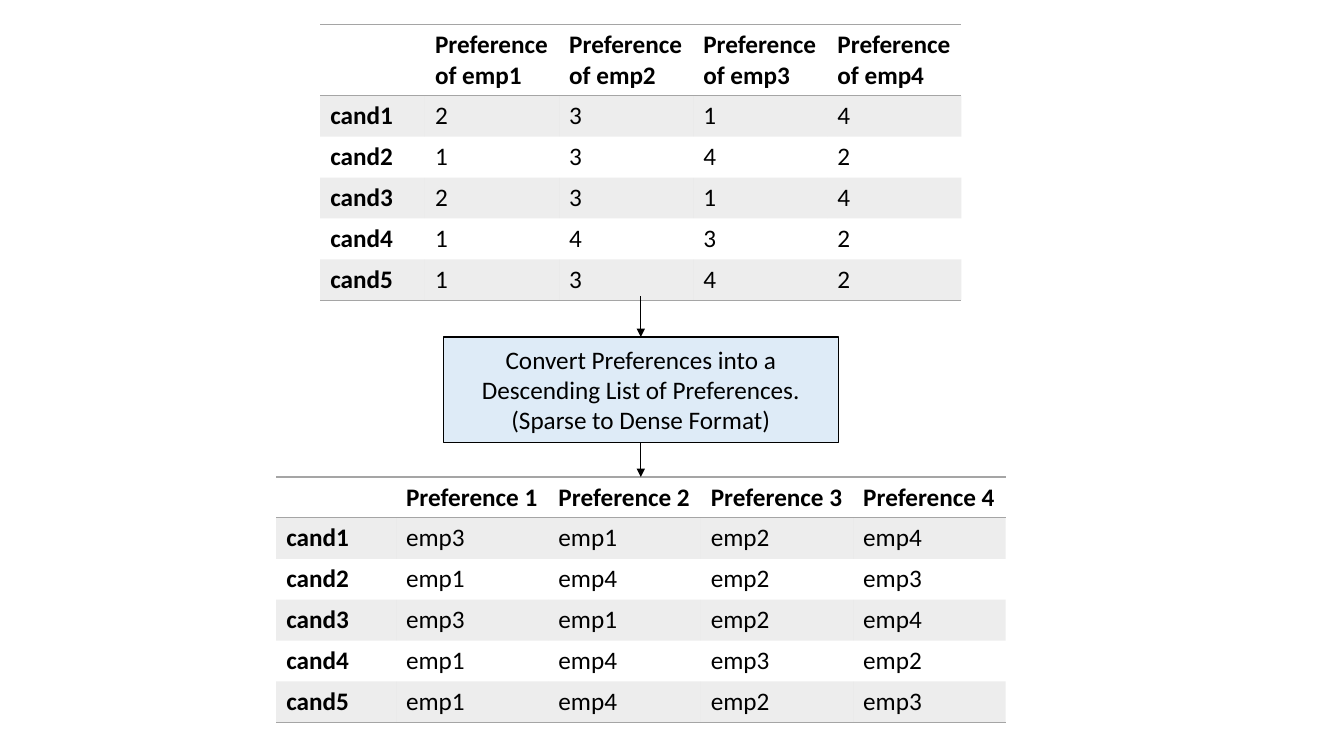
"""Build a slide showing sparse preferences converted into a dense ordered list."""
import pptx
import pptx.util
import pptx.dml.color
import pptx.enum.shapes
import pptx.enum.text
import pptx.oxml
import pptx.oxml.ns

Cm, Pt = pptx.util.Cm, pptx.util.Pt
RGB, qn = pptx.dml.color.RGBColor.from_string, pptx.oxml.ns.qn

SPARSE = [
    ("", "Preference of emp1", "Preference of emp2", "Preference of emp3", "Preference of emp4"),
    ("cand1", "2", "3", "1", "4"),
    ("cand2", "1", "3", "4", "2"),
    ("cand3", "2", "3", "1", "4"),
    ("cand4", "1", "4", "3", "2"),
    ("cand5", "1", "3", "4", "2"),
]
DENSE = [
    ("", "Preference 1", "Preference 2", "Preference 3", "Preference 4"),
    ("cand1", "emp3", "emp1", "emp2", "emp4"),
    ("cand2", "emp1", "emp4", "emp2", "emp3"),
    ("cand3", "emp3", "emp1", "emp2", "emp4"),
    ("cand4", "emp1", "emp4", "emp3", "emp2"),
    ("cand5", "emp1", "emp4", "emp2", "emp3"),
]
STEP = "Convert Preferences into a Descending List of Preferences. (Sparse to Dense Format)"

THEME = {"ink": "000000", "rule": "A5A5A5", "box": "DEEBF7", "band_alpha": 20,
         "font": "Calibri", "size": 18, "rule_width": 1, "arrow_width": 0.5}
NO_STYLE = "{2D5ABB26-0587-4C30-8999-92F81FD0307C}"
CENTER = 16.15
HEADER_H, ROW_H = 0.9, 0.93
SPARSE_TOP, SPARSE_END = 0.61, 7.47
BOX_TOP, BOX_W, BOX_H = 8.49, 9.96, 2.66
DENSE_TOP = 12.02


def xml(text):
    return pptx.oxml.parse_xml(text.replace(" ", f" {pptx.oxml.ns.nsdecls('a')} ", 1))


def write(tf, text, bold=False):
    r = tf.paragraphs[0].add_run()
    r.text = text
    font = {"name": THEME["font"], "size": Pt(THEME["size"]), "bold": bold}
    for key, value in font.items():
        setattr(r.font, key, value)
    r.font.color.rgb = RGB(THEME["ink"])


def add_borders(cell, sides):
    tc_pr = cell.fill and cell._tc.get_or_add_tcPr()
    for i, side in enumerate(sides):
        tc_pr.insert(i, xml(
            f'<a:ln{side} w="{Pt(THEME["rule_width"])}"><a:solidFill>'
            f'<a:srgbClr val="{THEME["rule"]}"/></a:solidFill></a:ln{side}>'))


def add_grid(s, rows, top, first_w, col_w):
    widths = [first_w] + [col_w] * (len(rows[0]) - 1)
    heights = [HEADER_H] + [ROW_H] * (len(rows) - 1)
    total = sum(widths)
    frame = s.shapes.add_table(len(rows), len(widths), Cm(CENTER - total / 2), Cm(top),
                               Cm(total), Cm(sum(heights)))
    next(frame.element.iter(qn("a:tableStyleId"))).text = NO_STYLE
    table = frame.table
    for column, width in zip(table.columns, widths):
        column.width = Cm(width)
    for i, (row, values) in enumerate(zip(table.rows, rows)):
        row.height = Cm(heights[i])
        sides = "TB" if i == 0 else "B" if i == len(rows) - 1 else ""
        for j, (cell, value) in enumerate(zip(row.cells, values)):
            if value:
                write(cell.text_frame, value, bold=i == 0 or j == 0)
            if i % 2:
                cell.fill.solid()
                cell.fill.fore_color.rgb = RGB(THEME["rule"])
                color = next(cell._tc.iter(qn("a:srgbClr"), qn("a:tcPr")))
                color = next(color.iter(qn("a:srgbClr"))) if value == "" else \
                    next(cell._tc.tcPr.iter(qn("a:srgbClr")))
                color.append(xml(f'<a:alpha val="{THEME["band_alpha"] * 1000}"/>'))
            else:
                cell.fill.background()
            add_borders(cell, sides)


def add_step(s):
    sp = s.shapes.add_shape(pptx.enum.shapes.MSO_SHAPE.RECTANGLE, Cm(CENTER - BOX_W / 2),
                            Cm(BOX_TOP), Cm(BOX_W), Cm(BOX_H))
    sp.shadow.inherit = False
    sp.fill.solid()
    sp.fill.fore_color.rgb = RGB(THEME["box"])
    sp.line.color.rgb = RGB(THEME["ink"])
    sp.line.width = Pt(THEME["rule_width"])
    tf = sp.text_frame
    layout = {"word_wrap": True, "vertical_anchor": pptx.enum.text.MSO_ANCHOR.MIDDLE}
    for key, value in layout.items():
        setattr(tf, key, value)
    tf.paragraphs[0].alignment = pptx.enum.text.PP_ALIGN.CENTER
    write(tf, STEP)


def add_arrow(s, top, bottom):
    sp = s.shapes.add_connector(pptx.enum.shapes.MSO_CONNECTOR.STRAIGHT,
                                Cm(CENTER), Cm(top), Cm(CENTER), Cm(bottom))
    sp.line.color.rgb = RGB(THEME["ink"])
    sp.line.width = Pt(THEME["arrow_width"])
    sp.line._get_or_add_ln().append(xml('<a:tailEnd type="triangle"/>'))
    sp.element.spPr.append(xml("<a:effectLst />"))


prs = pptx.Presentation()
prs.slide_width, prs.slide_height = Cm(33.87), Cm(19.05)
s = prs.slides.add_slide(prs.slide_layouts[6])
add_grid(s, SPARSE, SPARSE_TOP, 2.64, 3.38)
add_step(s)
add_grid(s, DENSE, DENSE_TOP, 3.02, 3.84)
for top, bottom in [(SPARSE_END, BOX_TOP), (BOX_TOP + BOX_H, DENSE_TOP)]:
    add_arrow(s, top, bottom)
prs.save("out.pptx")
